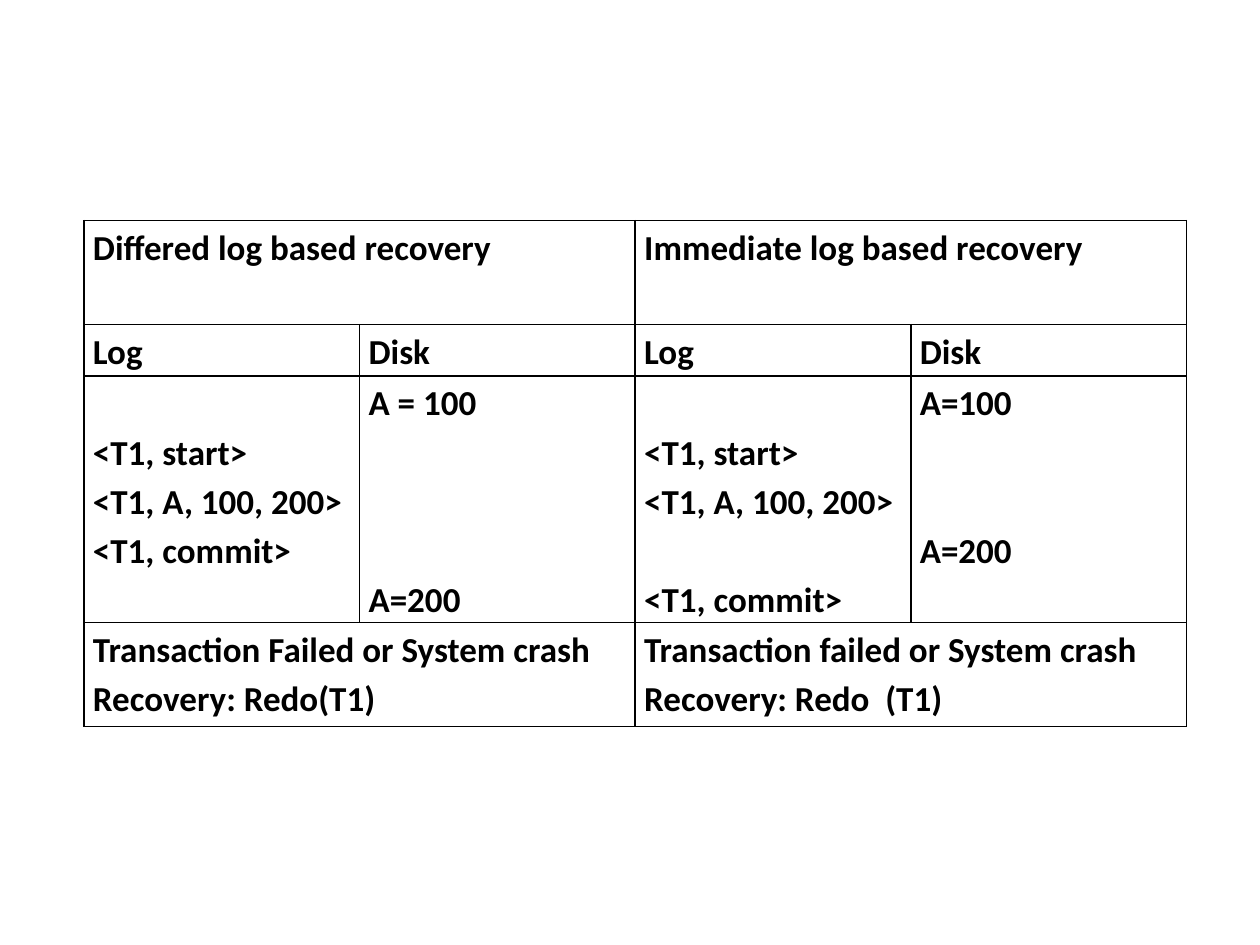
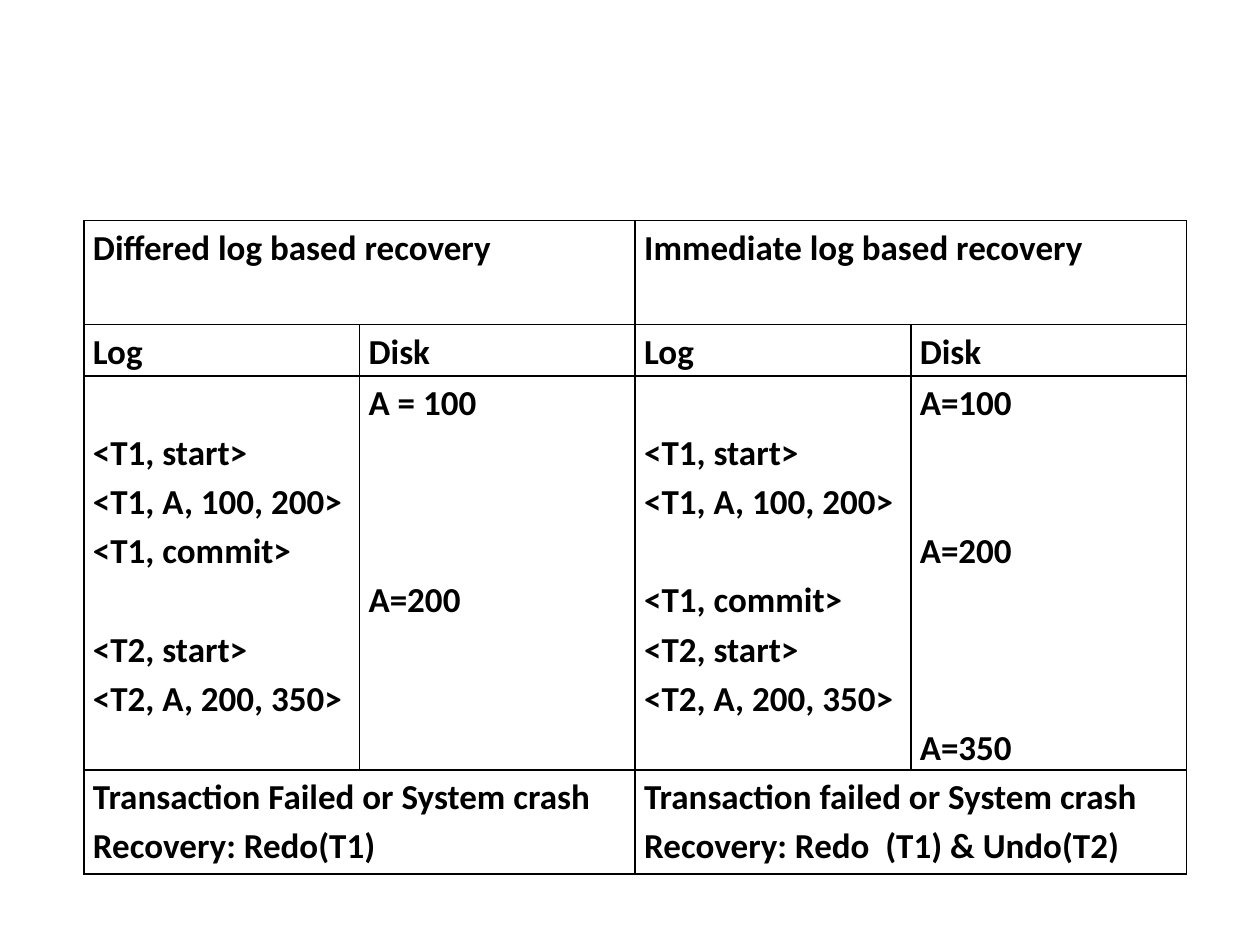
import pptx
import pptx.dml.color
import pptx.oxml.ns
import pptx.util
from lxml import etree

Pt = pptx.util.Pt
BLACK = pptx.dml.color.RGBColor(0, 0, 0)
WHITE = pptx.dml.color.RGBColor(255, 255, 255)
FONT = "Calibri"
FONT_SIZE = 20
LINE_SPACING = 1.15
LINE_PITCH = 28.1
SIDE_MARGIN = 5.15
TABLE_LEFT, TABLE_TOP, TABLE_WIDTH = 48, 126, 630
COLUMN_COUNT = 4
HEADING_HEIGHT, LABEL_HEIGHT, OUTCOME_HEIGHT = 59.5, 29.5, 59.5

HEADINGS = ("Differed log based recovery", "Immediate log based recovery")
LABELS = ("Log", "Disk", "Log", "Disk")

COMMITTED_STEPS = (
    {1: "<T1, start>", 2: "<T1, A, 100, 200>", 3: "<T1, commit>"},
    {0: "A = 100", 4: "A=200"},
    {1: "<T1, start>", 2: "<T1, A, 100, 200>", 4: "<T1, commit>"},
    {0: "A=100", 3: "A=200"},
)
SECOND_TRANSACTION_STEPS = (
    {5: "<T2, start>", 6: "<T2, A, 200, 350>"},
    {},
    {5: "<T2, start>", 6: "<T2, A, 200, 350>"},
    {7: "A=350"},
)
INTERRUPTED_STEPS = tuple(
    {**first, **second} for first, second in zip(COMMITTED_STEPS, SECOND_TRANSACTION_STEPS)
)
DIFFERED_OUTCOME = ("Transaction Failed or System crash", "Recovery: Redo(T1)")
IMMEDIATE_FAILURE = "Transaction failed or System crash"

SCENARIOS = (
    (COMMITTED_STEPS, (DIFFERED_OUTCOME, (IMMEDIATE_FAILURE, "Recovery: Redo  (T1)"))),
    (INTERRUPTED_STEPS, (DIFFERED_OUTCOME, (IMMEDIATE_FAILURE, "Recovery: Redo  (T1) & Undo(T2)"))),
)


def style_cell(cell):
    """Give a cell black borders, a white fill and tight margins."""
    properties = cell._tc.get_or_add_tcPr()
    for side in ("lnL", "lnR", "lnT", "lnB"):
        border = etree.SubElement(properties, pptx.oxml.ns.qn(f"a:{side}"), w=str(Pt(1)))
        fill = etree.SubElement(border, pptx.oxml.ns.qn("a:solidFill"))
        etree.SubElement(fill, pptx.oxml.ns.qn("a:srgbClr"), val=str(BLACK))
    cell.fill.solid()
    cell.fill.fore_color.rgb = WHITE
    cell.margin_left = cell.margin_right = Pt(SIDE_MARGIN)
    cell.margin_top = cell.margin_bottom = 0


def write_steps(cell, steps):
    """Write each text on its numbered line, leaving the skipped lines as spacing."""
    next_line = 0
    for index, (line, text) in enumerate(sorted(steps.items())):
        gap = Pt((line - next_line) * LINE_PITCH)
        if index == 0:
            para = cell.text_frame.paragraphs[0]
            cell.margin_top = gap
        else:
            para = cell.text_frame.add_paragraph()
            para.space_before = gap
        para.line_spacing = LINE_SPACING
        span = para.add_run()
        span.text = text
        span.font.name = FONT
        span.font.size = Pt(FONT_SIZE)
        span.font.bold = True
        span.font.color.rgb = BLACK
        next_line = line + 1


def add_recovery_table(page, left, top, width, steps, outcomes):
    """Add the table that compares the two kinds of log based recovery."""
    line_count = 1 + max(max(column) for column in steps)
    heights = (HEADING_HEIGHT, LABEL_HEIGHT, line_count * LINE_PITCH, OUTCOME_HEIGHT)
    frame = page.shapes.add_table(
        len(heights), COLUMN_COUNT, Pt(left), Pt(top), Pt(width), Pt(sum(heights))
    )
    table = frame.table
    table.first_row = table.horz_banding = False
    for row, height in zip(table.rows, heights):
        row.height = Pt(height)
    for column in table.columns:
        column.width = Pt(width / COLUMN_COUNT)
    for cell in table.iter_cells():
        style_cell(cell)

    for half, (heading, outcome) in enumerate(zip(HEADINGS, outcomes)):
        first = half * 2
        for row, lines in ((0, (heading,)), (3, outcome)):
            table.cell(row, first).merge(table.cell(row, first + 1))
            write_steps(table.cell(row, first), dict(enumerate(lines)))
    for column, label in enumerate(LABELS):
        write_steps(table.cell(1, column), {0: label})
        write_steps(table.cell(2, column), steps[column])


def main():
    """Build one slide for each recovery scenario."""
    deck = pptx.Presentation()
    deck.slide_width, deck.slide_height = Pt(720), Pt(540)
    blank_layout = deck.slide_layouts.get_by_name("Blank")
    for steps, outcomes in SCENARIOS:
        page = deck.slides.add_slide(blank_layout)
        add_recovery_table(page, TABLE_LEFT, TABLE_TOP, TABLE_WIDTH, steps, outcomes)
    deck.save("out.pptx")


if __name__ == "__main__":
    main()
